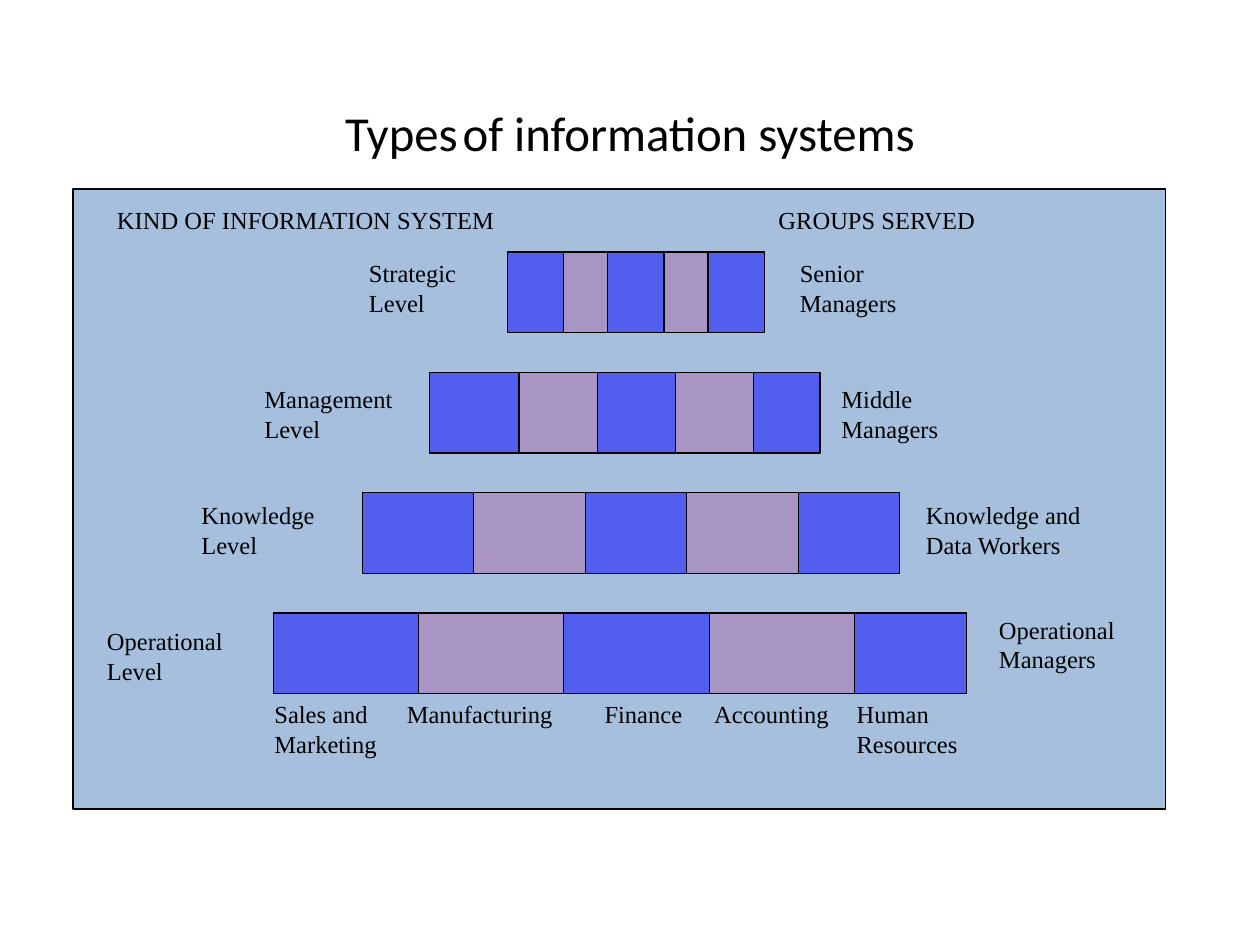
from lxml import etree
from pptx import Presentation
from pptx import util as u
from pptx.dml.color import RGBColor
from pptx.enum import shapes, text
from pptx.oxml import ns

BLUE, PEACH, STEEL, BLACK = "0000FF", "FFCC99", "4F81BD", "000000"
BAR_TOP, BAR_STEP, BAR_HIGH = 2, 0.955, 0.64

# bar left, bar width, stripe lefts, stripe width,
# level label (left, top, width, words), group label (same)
LEVELS = [
    (4.03, 2.04, (4.47, 5.27), 0.35,
     (2.83, 2, 0.92, "Strategic Level"), (6.25, 2, 1, "Senior Managers")),
    (3.41, 3.1, (4.12, 5.36), 0.62,
     (2, 3, 1.25, "Management Level"), (6.58, 3, 1.17, "Middle Managers")),
    (2.88, 4.26, (3.76, 5.45), 0.89,
     (1.5, 3.92, 1.17, "Knowledge Level"),
     (7.25, 3.92, 1.58, "Knowledge and Data Workers")),
    (2.17, 5.5, (3.32, 5.63), 1.15,
     (0.75, 4.92, 1.25, "Operational Level"),
     (7.83, 4.83, 1.25, "Operational Managers")),
]
HEADS = [(0.83, 3.25, "KIND OF INFORMATION SYSTEM"), (6.08, 1.92, "GROUPS SERVED")]
AREAS = [
    (2.08, 1.13, "Sales and Marketing"),
    (3.13, 1.65, "Manufacturing"),
    (4.7, 0.87, "Finance"),
    (5.57, 1.31, "Accounting"),
    (6.7, 1.22, "Human Resources"),
]


def color(code):
    return RGBColor.from_string(code)


class Painter:
    body_font, title_font = "Times New Roman", "Calibri"
    body_size = 14

    def __init__(self, slide):
        self.slide = slide

    def run(self, para, words, font, size):
        run = para.add_run()
        run.text = words
        run.font.name = font
        run.font.size = u.Pt(size)
        run.font.bold = False
        run.font.color.rgb = color(BLACK)

    def title(self, box, parts):
        shape = self.slide.shapes.title
        shape.left, shape.top, shape.width, shape.height = map(u.Inches, box)
        frame = shape.text_frame
        frame.auto_size = text.MSO_AUTO_SIZE.NONE
        frame.vertical_anchor = text.MSO_ANCHOR.MIDDLE
        # The wide top margin sets the line low in its box
        frame.margin_top, frame.margin_bottom = u.Inches(0.25), 0
        para = frame.paragraphs[0]
        para.alignment = text.PP_ALIGN.CENTER
        for words, size in parts:
            self.run(para, words, self.title_font, size)

    def block(self, left, top, width, height, fill):
        """Draw a half-transparent rectangle with a thin black outline."""
        shape = self.slide.shapes.add_shape(
            shapes.MSO_SHAPE.RECTANGLE, *map(u.Inches, (left, top, width, height)))
        shape.shadow.inherit = False
        shape.fill.solid()
        shape.fill.fore_color.rgb = color(fill)
        tint = shape.fill._xPr.find(".//" + ns.qn("a:srgbClr"))
        etree.SubElement(tint, ns.qn("a:alpha"), val="50000")
        shape.line.color.rgb = color(BLACK)
        shape.line.width = u.Pt(0.75)

    def label(self, left, top, width, words, height=0.57):
        box = self.slide.shapes.add_textbox(*map(u.Inches, (left, top, width, height)))
        frame = box.text_frame
        frame.word_wrap = True
        frame.auto_size = text.MSO_AUTO_SIZE.SHAPE_TO_FIT_TEXT
        self.run(frame.paragraphs[0], words, self.body_font, self.body_size)


def main():
    deck = Presentation()
    deck.slide_width, deck.slide_height = u.Inches(10), u.Inches(7.5)
    pen = Painter(deck.slides.add_slide(deck.slide_layouts[5]))

    pen.title((0.75, 0.67, 8.5, 0.5),
              [("Types", 27.9), (" ", 12.6), ("of information systems", 27.9)])
    pen.block(0.58, 1.5, 8.67, 4.92, STEEL)
    for left, width, words in HEADS:
        pen.label(left, 1.58, width, words, 0.33)

    for row, (left, width, stripes, thick, level, group) in enumerate(LEVELS):
        top = BAR_TOP + row * BAR_STEP
        pen.block(left, top, width, BAR_HIGH, BLUE)
        for stripe in stripes:
            pen.block(stripe, top, thick, BAR_HIGH, PEACH)
        pen.label(*level)
        pen.label(*group)

    for left, width, words in AREAS:
        pen.label(left, 5.5, width, words, 0.57 if " " in words else 0.33)

    deck.save("out.pptx")


if __name__ == "__main__":
    main()
